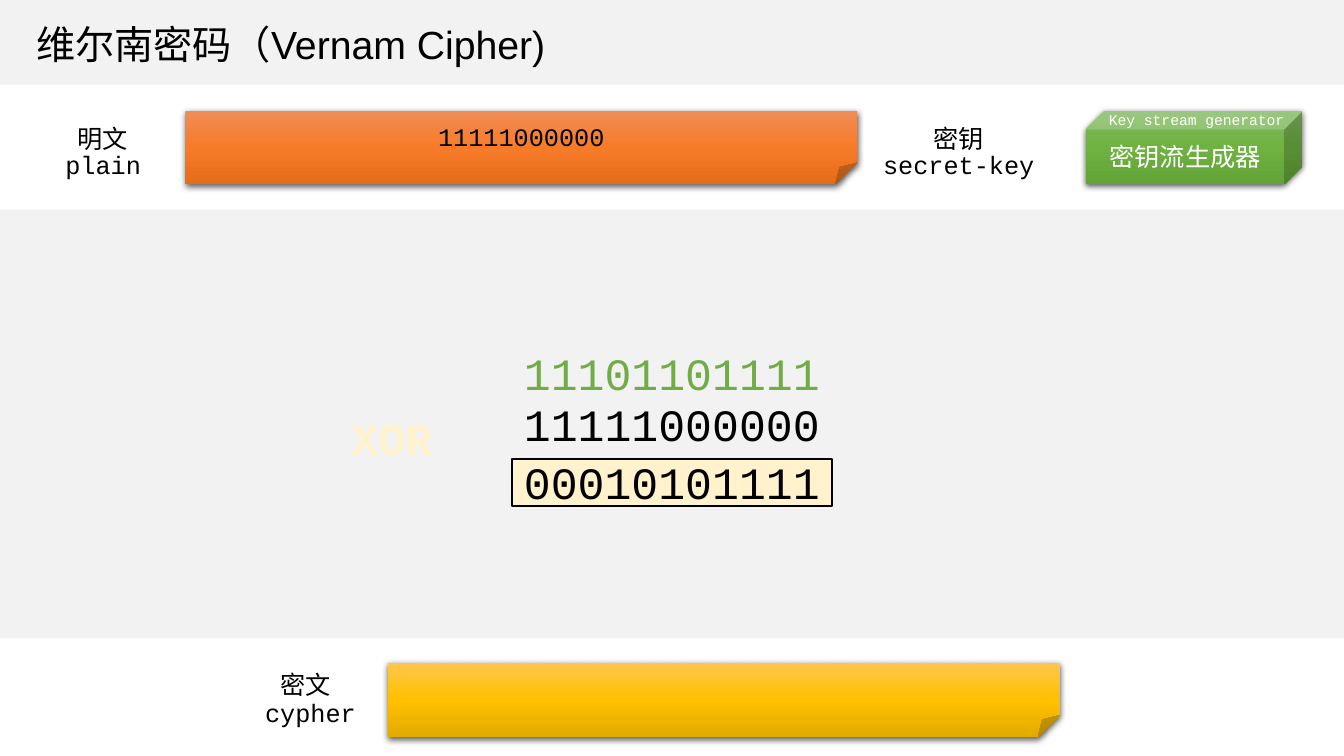
from lxml import etree
from pptx import Presentation
from pptx.dml.color import RGBColor
from pptx.enum.shapes import MSO_SHAPE as Shape
from pptx.enum.text import MSO_ANCHOR as Anchor, MSO_AUTO_SIZE as AutoSize, PP_ALIGN as Align
from pptx.oxml import parse_xml
from pptx.oxml.ns import nsdecls, qn
from pptx.util import Inches, Pt

# Content
TITLE = "维尔南密码（Vernam Cipher)"
PLAIN_BITS = "11111000000"
OPERATOR = "XOR"
GENERATOR = ("密钥流生成器", "Key stream generator")
COLORS = {"band": "F2F2F2", "black": "000000", "white": "FFFFFF",
          "key": "70AD47", "cream": "FFF2CC"}
GRADIENTS = {
    "plain": ("F18C57", "F67B28", "E56C19"),
    "cypher": ("FFC64B", "FFC000", "E3AB00"),
    "generator": ("81B861", "6FB242", "62A336"),
}
MONO, HAN = "Courier New", "Noto Sans CJK SC"

# Layout: left, top, width, height in inches
BANDS = [(0, 0, 13.33, 0.84), (0, 2.08, 13.33, 4.25)]
SHEETS = [("plain", PLAIN_BITS, 1.84, 1.1), ("cypher", "", 3.85, 6.58)]
SHEET_SIZE = (6.66, 0.73)
LABELS = [  # Chinese, its font, left, top; English, left, top, width
    ("明文", "Calibri", 0.67, 1.17, "plain", 0.55, 1.43, 0.96),
    ("密文", "Calibri", 2.68, 6.59, "cypher", 2.53, 6.87, 1.11),
    ("密钥", "Arial", 9.16, 1.17, "secret-key", 8.66, 1.43, 1.71),
]
SUM_LEFT, SUM_WIDTH = 5.08, 3.17
SUM_ROWS = [("11101101111", "key", 3.38), (PLAIN_BITS, "black", 3.89),
            ("00010101111", "black", 4.46)]

deck = Presentation()
deck.slide_width, deck.slide_height = Inches(13.33), Inches(7.5)
page = deck.slides.add_slide(deck.slide_layouts[6])


def write(frame, text, size=18, font=MONO, color="black", bold=False, align=Align.LEFT):
    para = frame.paragraphs[0]
    para.alignment = align
    span = para.add_run()
    span.text = text
    span.font.size, span.font.name, span.font.bold = Pt(size), font, bold
    span.font.color.rgb = RGBColor.from_string(COLORS[color])
    etree.SubElement(span.font._element, qn("a:ea"), typeface=HAN)


def add_text(parent, text, left, top, width, height=0.4, wrap=False, **style):
    box = parent.add_textbox(*map(Inches, (left, top, width, height)))
    box.text_frame.word_wrap = wrap
    box.text_frame.auto_size = AutoSize.SHAPE_TO_FIT_TEXT
    write(box.text_frame, text, **style)


def add_block(parent, kind, bounds, fill=None, line=None):
    block = parent.add_shape(kind, *map(Inches, bounds))
    block.shadow.inherit = False
    if fill:
        block.fill.solid()
        block.fill.fore_color.rgb = RGBColor.from_string(COLORS[fill])
    if line:
        block.line.color.rgb = RGBColor.from_string(COLORS[line])
        block.line.width = Pt(1.5)
    else:
        block.line.fill.background()
    return block


def add_glossy(parent, kind, bounds, gradient, text, **style):
    block = add_block(parent, kind, bounds)
    stops = "".join(f'<a:gs pos="{i * 50000}"><a:srgbClr val="{color}"/></a:gs>'
                    for i, color in enumerate(GRADIENTS[gradient]))
    block._element.spPr.find(qn("a:prstGeom")).addnext(parse_xml(
        f'<a:gradFill {nsdecls("a")} rotWithShape="1"><a:gsLst>{stops}</a:gsLst>'
        '<a:lin ang="5400000" scaled="0"/></a:gradFill>'))
    block._element.spPr.find(qn("a:effectLst")).append(parse_xml(
        f'<a:outerShdw {nsdecls("a")} blurRad="{Pt(4.5)}" dist="{Pt(1.5)}" dir="5400000" '
        'algn="ctr" rotWithShape="0"><a:srgbClr val="000000"><a:alpha val="63000"/>'
        '</a:srgbClr></a:outerShdw>'))
    block.text_frame.vertical_anchor = Anchor.MIDDLE
    if text:
        write(block.text_frame, text, align=Align.CENTER, **style)
    return block


# Grey bands and title
for band in BANDS:
    add_block(page.shapes, Shape.RECTANGLE, band, fill="band")
add_text(page.shapes, TITLE, 0.26, 0.15, 5.38, 0.57, size=28, font="Arial")

# Plain and cypher sheets, with the size of the folded corner
for name, bits, left, top in SHEETS:
    sheet = add_glossy(page.shapes, Shape.FOLDED_CORNER, (left, top, *SHEET_SIZE), name, bits)
    guides = sheet._element.spPr.find(qn("a:prstGeom")).get_or_add_avLst()
    etree.SubElement(guides, qn("a:gd"), name="adj", fmla="val 29300")

# Two-language labels
for han, font, han_left, han_top, english, left, top, width in LABELS:
    label = page.shapes.add_group_shape().shapes
    add_text(label, english, left, top, width)
    add_text(label, han, han_left, han_top, 0.71, font=font)

# XOR sum with its boxed result
add_block(page.shapes, Shape.RECTANGLE, (SUM_LEFT, 4.55, SUM_WIDTH, 0.47),
          fill="cream", line="black")
for bits, color, top in SUM_ROWS:
    add_text(page.shapes, bits, SUM_LEFT, top, SUM_WIDTH, 0.64,
             size=32, color=color, align=Align.CENTER)
add_text(page.shapes, OPERATOR, 3.39, 4.03, 1, 0.64, size=32, color="cream", bold=True)

# Key stream generator
generator = page.shapes.add_group_shape().shapes
add_glossy(generator, Shape.CUBE, (10.77, 1.1, 2.15, 0.73), "generator",
           GENERATOR[0], font=HAN, color="white")
add_text(generator, GENERATOR[1], 10.9, 1.05, 2.24, 0.28, wrap=True, size=10.5, color="white")

deck.save("out.pptx")
